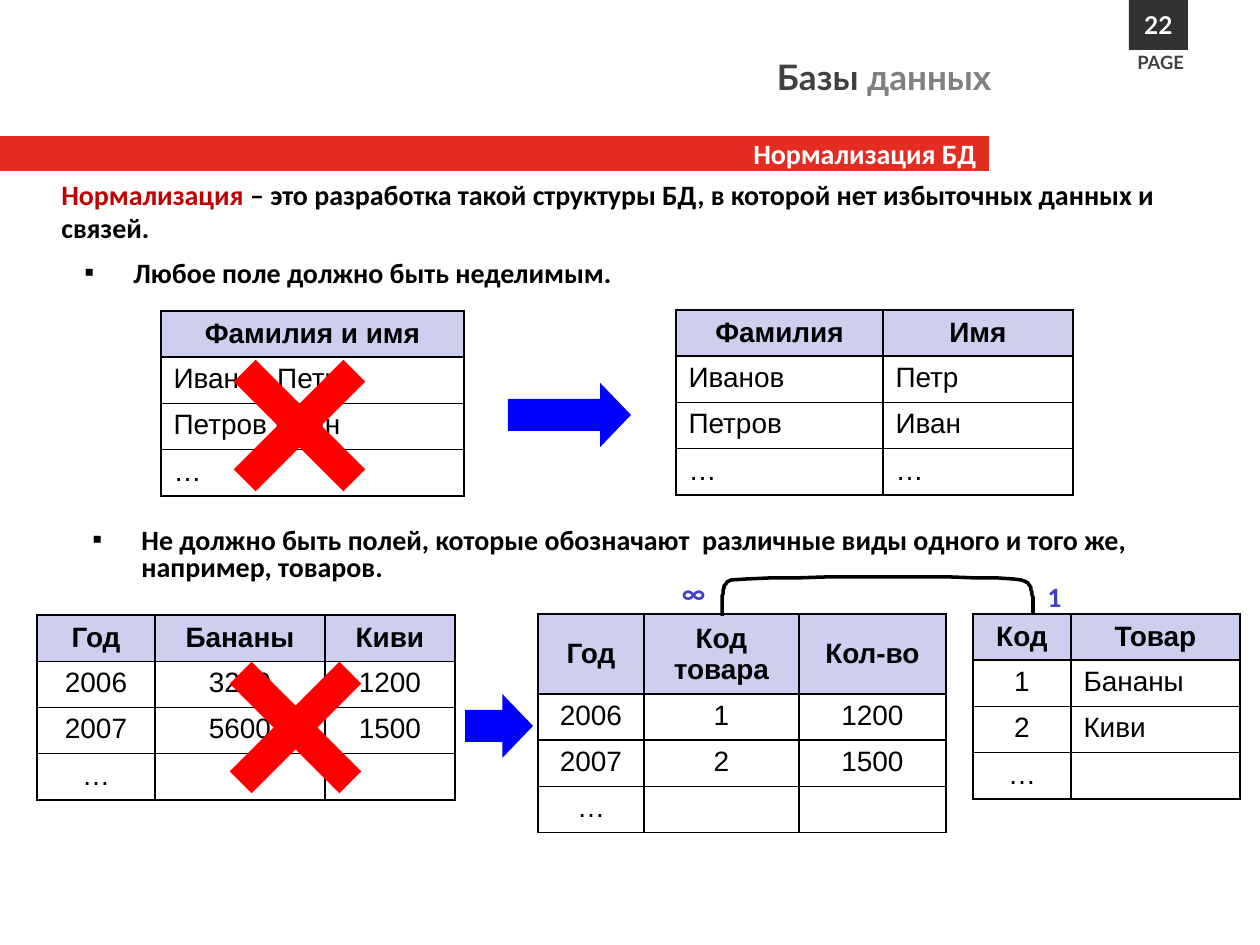
from lxml.etree import SubElement
from pptx import Presentation
from pptx.dml.color import RGBColor
from pptx.enum.shapes import MSO_SHAPE as SHAPE
from pptx.enum.text import MSO_ANCHOR as ANCHOR, MSO_AUTO_SIZE as AUTO, PP_ALIGN as ALIGN
from pptx.oxml.ns import qn
from pptx.util import Emu, Pt

PX = 914400 / 126
COLORS = {
    "black": "000000", "white": "FFFFFF", "band": "E32C22", "dark": "333030",
    "title": "404040", "muted": "808080", "term": "C00000", "header": "CECEEF",
    "arrow": "0000FF", "cross": "FF0000", "relation": "4040C0",
}


def px(n):
    return Emu(round(n * PX))


def rgb(name):
    return RGBColor.from_string(COLORS[name])


def write(tf, text, size=16, font="Calibri", color="black", bold=True,
          align=ALIGN.LEFT, anchor=ANCHOR.TOP, spacing=None):
    """Fill a text frame; text is a string or a list of (string, color)."""
    tf.vertical_anchor = anchor
    p = tf.paragraphs[0]
    p.alignment = align
    if spacing:
        p.line_spacing = spacing
    for part, part_color in [(text, color)] if isinstance(text, str) else text:
        r = p.add_run()
        r.text = part
        r.font.size, r.font.name, r.font.bold = Pt(size), font, bold
        r.font.color.rgb = rgb(part_color)
    return p


def bezier(points, steps=12):
    """Sample a cubic curve, leaving out its first point."""
    for i in range(1, steps + 1):
        t = i / steps
        weights = ((1 - t) ** 3, 3 * t * (1 - t) ** 2, 3 * t * t * (1 - t), t ** 3)
        yield tuple(sum(w * pt[axis] for w, pt in zip(weights, points)) for axis in (0, 1))


class SlideBuilder:
    row_height = 46

    def __init__(self, slide):
        self.slide = slide

    def placeholder(self, sp, box, text, fill=None, **fmt):
        sp.left, sp.top, sp.width, sp.height = map(px, box)
        if fill:
            sp.fill.solid()
            sp.fill.fore_color.rgb = rgb(fill)
        sp.text_frame.auto_size = AUTO.NONE
        write(sp.text_frame, text, **fmt)

    def shape(self, kind, box, fill, adjust=(), rotation=0):
        sp = self.slide.shapes.add_shape(kind, *map(px, box))
        sp.shadow.inherit = False
        sp.fill.solid()
        sp.fill.fore_color.rgb = rgb(fill)
        sp.line.fill.background()
        sp.rotation = rotation
        for i, value in enumerate(adjust):
            sp.adjustments[i] = value
        return sp

    def arrow(self, box):
        self.shape(SHAPE.RIGHT_ARROW, box, "arrow", (0.5, 0.48))

    def cross(self, left, top):
        self.shape(SHAPE.CROSS, (left, top, 155, 155), "cross", (0.4,), 45)

    def text(self, box, text, wrap=True, inset=True, **fmt):
        tf = self.slide.shapes.add_textbox(*map(px, box)).text_frame
        tf.word_wrap = wrap
        if not inset:
            tf.margin_left = tf.margin_right = tf.margin_top = tf.margin_bottom = 0
        return write(tf, text, **fmt)

    def bullet(self, box, text, **fmt):
        pPr = self.text(box, text, **fmt)._p.get_or_add_pPr()
        pPr.set("marL", str(px(49)))
        pPr.set("indent", str(px(-49)))
        SubElement(pPr, qn("a:buFont"), typeface="Arial")
        SubElement(pPr, qn("a:buChar"), char="▪")

    def relation_mark(self, left, top, text):
        self.text((left, top, 43, 38), text, wrap=False, inset=False,
                  color="relation", align=ALIGN.CENTER, anchor=ANCHOR.MIDDLE)

    def borders(self, cell):
        tcPr = cell._tc.get_or_add_tcPr()
        for side in ("lnL", "lnR", "lnT", "lnB"):
            ln = SubElement(tcPr, qn("a:" + side), w=str(Pt(1)))
            SubElement(SubElement(ln, qn("a:solidFill")), qn("a:srgbClr"), val=COLORS["black"])

    def table(self, left, top, widths, rows, centered=(), header_height=row_height):
        """Draw a table; centered lists the columns whose body text is centred."""
        heights = [header_height] + [self.row_height] * (len(rows) - 1)
        table = self.slide.shapes.add_table(
            len(rows), len(widths), px(left), px(top), px(sum(widths)), px(sum(heights))).table
        table.first_row = table.horz_banding = False
        for col, width in zip(table.columns, widths):
            col.width = px(width)
        for r, (row, height) in enumerate(zip(rows, heights)):
            table.rows[r].height = px(height)
            for c, text in enumerate(row):
                self.cell(table.cell(r, c), text, r == 0, c in centered)

    def cell(self, cell, text, header, centered):
        self.borders(cell)
        if header:
            cell.fill.solid()
            cell.fill.fore_color.rgb = rgb("header")
        else:
            cell.fill.background()
        cell.vertical_anchor = ANCHOR.MIDDLE if header else ANCHOR.TOP
        if text:
            write(cell.text_frame, text, font="Arial", bold=header,
                  align=ALIGN.CENTER if header or centered else ALIGN.LEFT,
                  anchor=cell.vertical_anchor)
        else:
            SubElement(cell.text_frame.paragraphs[0]._p, qn("a:endParaRPr"), sz="1600")

    def outline(self, points, width):
        builder = self.slide.shapes.build_freeform(*points[0], scale=PX)
        builder.add_line_segments(points[1:], close=False)
        sp = builder.convert_to_shape()
        sp.shadow.inherit = False
        sp.fill.background()
        sp.line.color.rgb = rgb("black")
        sp.line.width = Pt(width)


def main():
    prs = Presentation()
    prs.slide_width, prs.slide_height = px(1260), px(945)
    slide = prs.slides.add_slide(prs.slide_layouts[0])
    s = SlideBuilder(slide)

    s.placeholder(slide.placeholders[1], (0, 136, 989, 35), "Нормализация БД", fill="band",
                  color="white", align=ALIGN.RIGHT, anchor=ANCHOR.MIDDLE)
    s.text((1125, 45, 74, 35), "PAGE", wrap=False, size=10.5, font="Lato", color="title")
    page = s.shape(SHAPE.RECTANGLE, (1129, 0, 59, 50), "dark")
    write(page.text_frame, "22", size=14, font="Lato", color="white",
          align=ALIGN.CENTER, anchor=ANCHOR.MIDDLE)
    s.placeholder(slide.shapes.title, (19, 49, 985, 55),
                  [("Базы ", "title"), ("данных", "muted")],
                  size=20, font="Lato", align=ALIGN.RIGHT)
    s.text((49, 171, 1162, 77), [
        ("Нормализация ", "term"),
        ("– это разработка такой структуры БД, в которой нет избыточных данных и связей.", "black"),
    ])

    s.bullet((72, 249, 1114, 60), "Любое поле должно быть неделимым.")
    s.table(161, 311, [303], [["Фамилия и имя"], ["Иванов Петр"], ["Петров Иван"], ["…"]])
    s.table(676, 310, [207, 190],
            [["Фамилия", "Имя"], ["Иванов", "Петр"], ["Петров", "Иван"], ["…", "…"]])
    s.arrow((508, 383, 123, 64))
    s.cross(222, 348)

    s.bullet((80, 523, 1112, 83), "Не должно быть полей, которые обозначают  различные виды "
             "одного и того же, например, товаров.", spacing=0.8)
    s.table(37, 615, [118, 170, 130], [
        ["Год", "Бананы", "Киви"], ["2006", "3200", "1200"],
        ["2007", "5600", "1500"], ["…", "", ""]], centered=(0, 1, 2))
    s.cross(218, 650)
    s.arrow((465, 694, 68, 64))
    s.table(538, 614, [106, 155, 147], [
        ["Год", "Код товара", "Кол-во"], ["2006", "1", "1200"],
        ["2007", "2", "1500"], ["…", "", ""]], centered=(0, 1, 2), header_height=80)
    s.table(973, 614, [98, 169],
            [["Код", "Товар"], ["1", "Бананы"], ["2", "Киви"], ["…", ""]], centered=(0,))

    s.outline([
        (722, 616), (722, 602),
        *bezier([(722, 602), (723, 596), (721, 583), (731, 580)]),
        *bezier([(731, 580), (781, 576), (1007, 576), (1021, 580)]),
        *bezier([(1021, 580), (1033, 583), (1031, 592), (1033, 599)]),
        (1033, 615)], width=2)
    s.relation_mark(672, 573, "∞")
    s.relation_mark(1033, 577, "1")
    prs.save("out.pptx")


if __name__ == "__main__":
    main()
